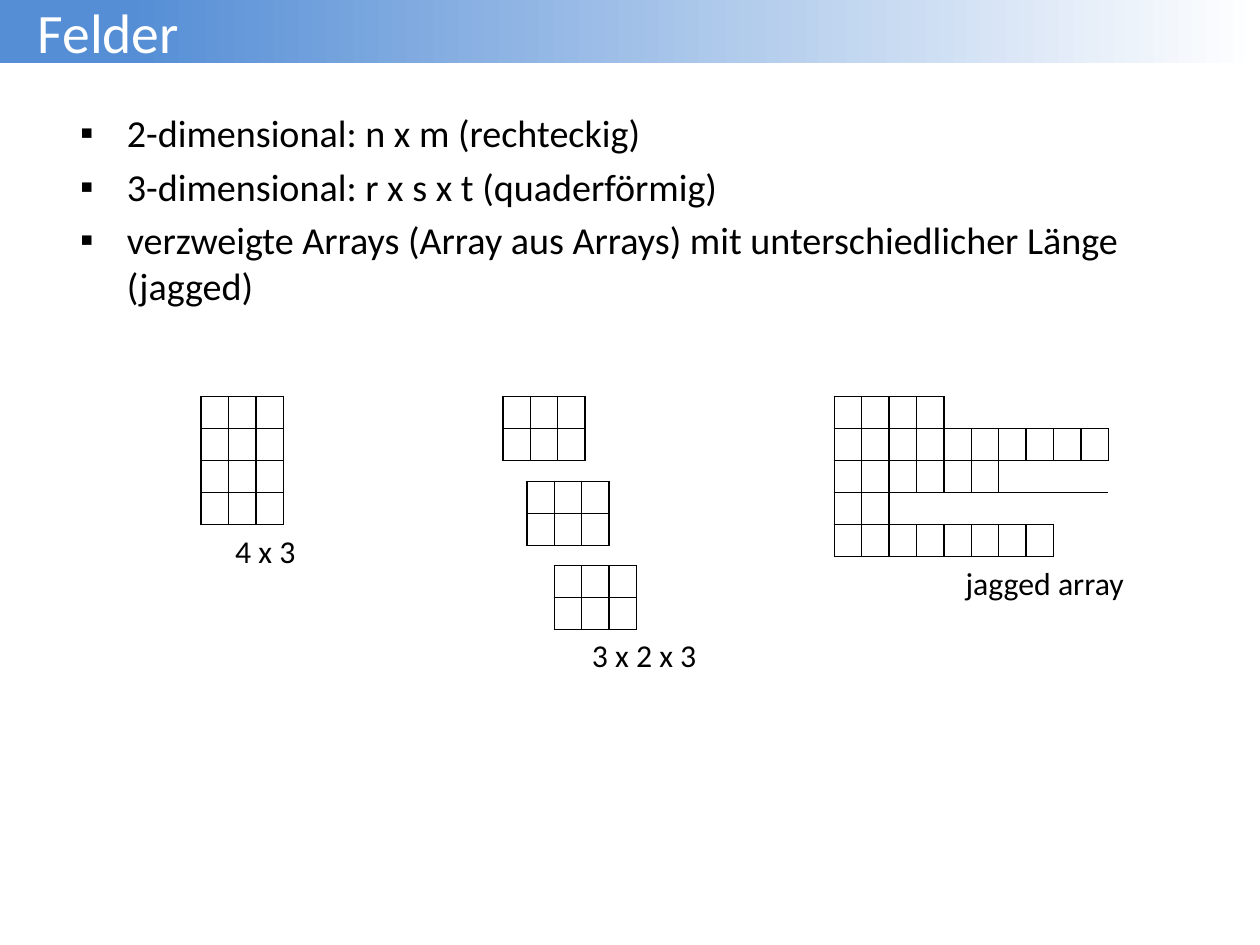
from dataclasses import dataclass

from lxml import etree
from pptx import Presentation
from pptx import util as u
from pptx.dml.color import RGBColor
from pptx.enum import text
from pptx.oxml import ns


@dataclass(frozen=True)
class Theme:
    """Colours, type sizes and grid measures of the slide."""
    font: str = "Calibri"
    blue: str = "558ED5"
    white: str = "FFFFFF"
    black: str = "000000"
    head: float = 35
    body: float = 24
    label: float = 20
    cell: float = 8
    line: float = 1
    col: float = 0.24
    row: float = 0.28


THEME = Theme()
SIZE = {"slide_width": u.Emu(10080625), "slide_height": u.Emu(7559675)}
INSETS = {"margin_left": u.Inches(0.11), "margin_right": u.Inches(0.11),
          "margin_top": u.Inches(0.06), "margin_bottom": u.Inches(0.06)}
ITEMS = ["2-dimensional: n x m (rechteckig)",
         "3-dimensional: r x s x t (quaderförmig)",
         "verzweigte Arrays (Array aus Arrays) mit unterschiedlicher Länge (jagged)"]


def apply(item, vals):
    """Set every attribute named in a dict."""
    for key, val in vals.items():
        setattr(item, key, val)


def place(shape, box):
    """Move a shape to a box given in inches."""
    apply(shape, dict(zip(("left", "top", "width", "height"), map(u.Inches, box))))


def style(para, size, color):
    """Format the font of a paragraph."""
    apply(para.font, {"name": THEME.font, "size": u.Pt(size), "bold": False})
    para.font.color.rgb = RGBColor.from_string(color)


def indent(para, left, first):
    """Set the left margin and first-line indent of a paragraph."""
    props = para._p.get_or_add_pPr()
    props.set("marL", str(u.Inches(left)))
    props.set("indent", str(u.Inches(first)))
    return props


def header(shape, box, words):
    """Fill the title band from blue to white."""
    place(shape, box)
    shape.fill.gradient()
    shape.fill.gradient_angle = 0
    for stop, pos, color in zip(shape.fill.gradient_stops, (0.1, 1),
                                (THEME.blue, THEME.white)):
        stop.position = pos
        stop.color.rgb = RGBColor.from_string(color)
    frame = shape.text_frame
    frame.text = words
    apply(frame, {**INSETS, "vertical_anchor": text.MSO_ANCHOR.MIDDLE,
                  "auto_size": text.MSO_AUTO_SIZE.NONE})
    para = frame.paragraphs[0]
    para.alignment = text.PP_ALIGN.LEFT
    indent(para, 0.22, 0)
    style(para, THEME.head, THEME.white)


def bullets(shape, box, items):
    """Set a list with square bullets."""
    place(shape, box)
    frame = shape.text_frame
    frame.text = "\n".join(items)
    apply(frame, {**INSETS, "auto_size": text.MSO_AUTO_SIZE.NONE})
    for num, para in enumerate(frame.paragraphs):
        props = indent(para, 0.41, -0.41)
        etree.SubElement(props, ns.qn("a:buFont"), typeface="Arial")
        etree.SubElement(props, ns.qn("a:buChar"), char="▪")
        para.space_before = u.Pt(0.2 * THEME.body if num else 0)
        style(para, THEME.body, THEME.black)


def border(cell, sides):
    """Draw the named sides of a cell and clear the others."""
    props = cell._tc.get_or_add_tcPr()
    for num, side in enumerate("LRTB"):
        line = etree.Element(ns.qn("a:ln" + side), w=str(u.Pt(THEME.line)))
        if side in sides:
            fill = etree.SubElement(line, ns.qn("a:solidFill"))
            etree.SubElement(fill, ns.qn("a:srgbClr"), val=THEME.black)
        else:
            etree.SubElement(line, ns.qn("a:noFill"))
        props.insert(num, line)


def grid(slide, left, top, sizes, rests=None):
    """Draw rows of cells, merging the rest of each short row."""
    cols = max(sizes)
    table = slide.shapes.add_table(
        len(sizes), cols, u.Inches(left), u.Inches(top),
        u.Inches(cols * THEME.col), u.Inches(len(sizes) * THEME.row)).table
    apply(table, {"first_row": False, "horz_banding": False})
    for col in table.columns:
        col.width = u.Inches(THEME.col)
    for row, size in enumerate(sizes):
        table.rows[row].height = u.Inches(THEME.row)
        for col in range(cols):
            cell = table.cell(row, col)
            cell.fill.background()
            apply(cell, dict.fromkeys(INSETS, 0))
            style(cell.text_frame.paragraphs[0], THEME.cell, THEME.black)
            sides = "LRTB" if col < size else rests[row]
            border(cell, sides.replace("L", "") if col > size else sides)
        if size < cols:
            table.cell(row, size).merge(table.cell(row, cols - 1))


def label(slide, box, words):
    """Write a caption below a grid."""
    shape = slide.shapes.add_textbox(*map(u.Inches, box))
    frame = shape.text_frame
    frame.text = words
    apply(frame, {"word_wrap": False,
                  "auto_size": text.MSO_AUTO_SIZE.SHAPE_TO_FIT_TEXT})
    style(frame.paragraphs[0], THEME.label, THEME.black)


def flat(slide, left, top):
    """Show the array with two dimensions."""
    grid(slide, left, top, [3] * 4)
    label(slide, (left + 0.2, top + 1.13, 0.73, 0.44), "4 x 3")


def cube(slide, left, top):
    """Show the array with three dimensions as shifted layers."""
    for num, shift in enumerate((0, 0.21, 0.45)):
        grid(slide, left + shift, top + num * 0.74, [3] * 2)
    label(slide, (left + 0.68, top + 2.04, 1.12, 0.44), "3 x 2 x 3")


def jagged(slide, left, top):
    """Show the array with rows of different length."""
    grid(slide, left, top, [4, 10, 6, 2, 8], ["LB", "", "LT", "LTB", "L"])
    label(slide, (left + 1.05, top + 1.41, 1.6, 0.44), "jagged array")


def main():
    """Build and save the slide."""
    deck = Presentation()
    apply(deck, SIZE)
    slide = deck.slides.add_slide(deck.slide_layouts[1])
    header(slide.shapes.title, (0, 0, 11.02, 0.55), "Felder")
    bullets(slide.placeholders[1], (0.59, 0.9, 9.84, 7.09), ITEMS)
    for draw, left in ((flat, 1.76), (cube, 4.4), (jagged, 7.3)):
        draw(slide, left, 3.47)
    deck.save("out.pptx")


if __name__ == "__main__":
    main()
